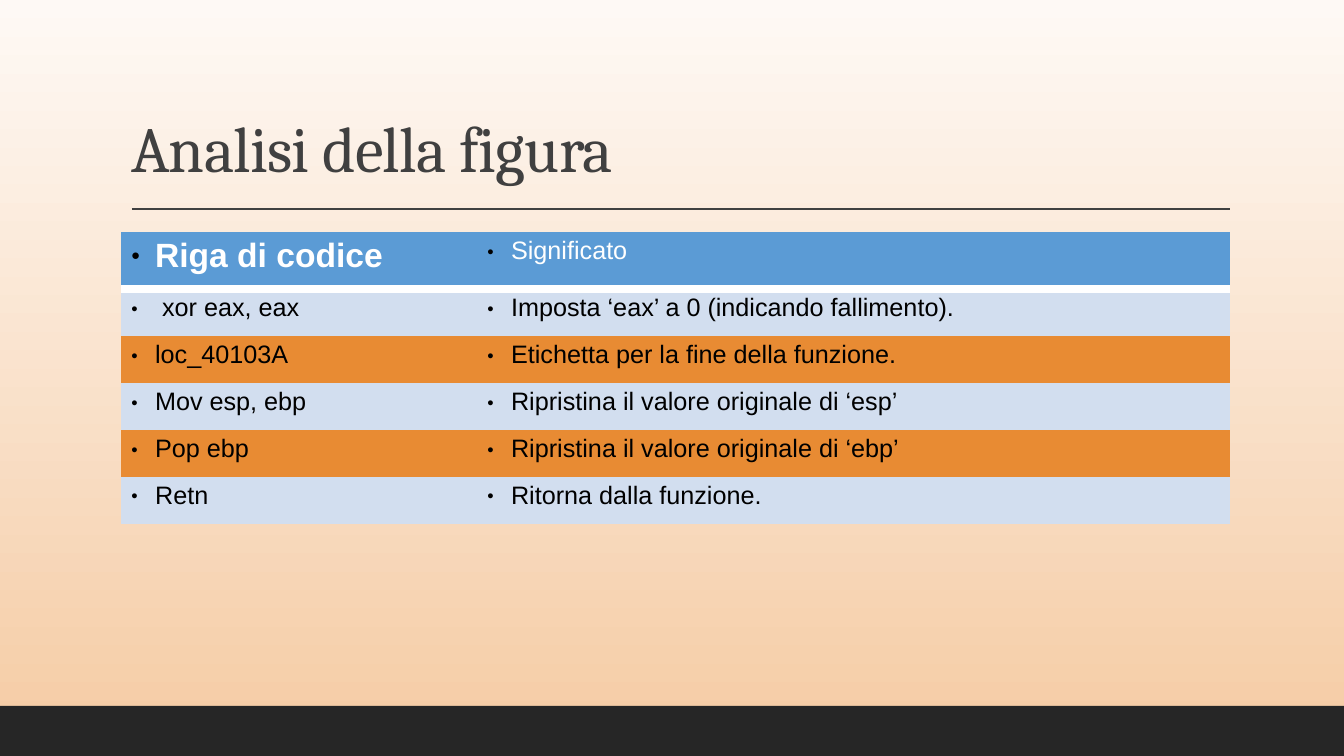
from lxml.etree import SubElement, fromstring
from pptx import Presentation
from pptx.dml.color import RGBColor
from pptx.enum.shapes import MSO_CONNECTOR as Connector, MSO_SHAPE as Shape
from pptx.enum.text import MSO_ANCHOR as Anchor, PP_ALIGN as Align
from pptx.oxml.ns import nsdecls, qn
from pptx.util import Pt

SCALE = 12192000 / 1344
SLIDE_WIDTH, SLIDE_HEIGHT = 1344, 756
PLAIN_TABLE = "{2D5ABB26-0587-4C30-8999-92F81FD0307C}"
HEADER_FILL, ROW_FILLS = "5B9BD5", ("D2DEEF", "E88B33")
INSTRUCTIONS = [
    ("Riga di codice", "Significato"),
    (" xor eax, eax", "Imposta ‘eax’ a 0 (indicando fallimento)."),
    ("loc_40103A", "Etichetta per la fine della funzione."),
    ("Mov esp, ebp", "Ripristina il valore originale di ‘esp’"),
    ("Pop ebp", "Ripristina il valore originale di ‘ebp’"),
    ("Retn", "Ritorna dalla funzione."),
]


def px(length):
    return round(length * SCALE)


def color(value):
    return RGBColor.from_string(value)


def style(paragraph, font_name, size, text_color, bold=False):
    font = paragraph.font
    font.name, font.size, font.bold = font_name, Pt(size), bold
    font.color.rgb = color(text_color)


def add_bullet(paragraph):
    properties = paragraph._p.get_or_add_pPr()
    properties.set("marL", str(px(24)))
    properties.set("indent", str(-px(24)))
    bullet = fromstring(
        f'<a:pPr {nsdecls("a")}><a:buClr><a:srgbClr val="000000"/></a:buClr>'
        '<a:buSzPct val="45000"/><a:buFont typeface="Arial"/>'
        '<a:buChar char="●"/></a:pPr>')
    for position, part in enumerate(list(bullet)):
        properties.insert(position, part)


def add_bottom_border(cell):
    border = fromstring(
        f'<a:lnB {nsdecls("a")} w="{Pt(6)}"><a:solidFill>'
        '<a:srgbClr val="FFFFFF"/></a:solidFill></a:lnB>')
    cell._tc.get_or_add_tcPr().insert(0, border)


def draw_backdrop(slide, left, top, width, height):
    fill = slide.background.fill
    fill.gradient()
    fill.gradient_angle = 270
    for stop, value in zip(fill.gradient_stops, ("FEF9F5", "F5CBA3")):
        stop.color.rgb = color(value)
    footer_height = 50
    footer = slide.shapes.add_shape(
        Shape.RECTANGLE, px(left), px(top + height - footer_height),
        px(width), px(footer_height))
    footer.shadow.inherit = False
    footer.fill.solid()
    footer.fill.fore_color.rgb = color("262626")
    footer.line.fill.background()


def draw_heading(slide, left, top, width, height):
    heading = slide.shapes.title
    heading.left, heading.top = px(left), px(top)
    heading.width, heading.height = px(width), px(height)
    frame = heading.text_frame
    frame.text = "Analisi della figura"
    frame.vertical_anchor = Anchor.BOTTOM
    paragraph = frame.paragraphs[0]
    paragraph.alignment = Align.LEFT
    paragraph.line_spacing = 0.9
    style(paragraph, "Cambria", 46, "404040")
    paragraph._p.pPr.find(qn("a:defRPr")).set("spc", "-50")
    rule_y = px(top + height + 18)
    rule = slide.shapes.add_connector(
        Connector.STRAIGHT, px(left + 11), rule_y, px(left + width), rule_y)
    rule.line.color.rgb = color("404040")
    rule.line.width = Pt(1)
    SubElement(rule._element.spPr, qn("a:effectLst"))


def draw_instructions(slide, left, top, width, height):
    row_height, code_width = 47, 356
    header_height = height - row_height * (len(INSTRUCTIONS) - 1)
    frame = slide.shapes.add_table(
        len(INSTRUCTIONS), 2, px(left), px(top), px(width), px(height))
    table = frame.table
    table._tbl.tblPr.find(qn("a:tableStyleId")).text = PLAIN_TABLE
    table.columns[0].width = px(code_width)
    table.columns[1].width = px(width - code_width)
    for row, texts in enumerate(INSTRUCTIONS):
        header = row == 0
        table.rows[row].height = px(header_height if header else row_height)
        for column, text in enumerate(texts):
            cell = table.cell(row, column)
            cell.text = text
            cell.fill.solid()
            cell.fill.fore_color.rgb = color(
                HEADER_FILL if header else ROW_FILLS[(row - 1) % 2])
            paragraph = cell.text_frame.paragraphs[0]
            main = header and column == 0
            style(paragraph, "Arial", 24 if main else 18,
                  "FFFFFF" if header else "000000", main)
            add_bullet(paragraph)
            if header:
                add_bottom_border(cell)


def main():
    deck = Presentation()
    deck.slide_width, deck.slide_height = px(SLIDE_WIDTH), px(SLIDE_HEIGHT)
    slide = deck.slides.add_slide(deck.slide_layouts[5])
    draw_backdrop(slide, 0, 0, SLIDE_WIDTH, SLIDE_HEIGHT)
    draw_heading(slide, 121, 31, 1109, 160)
    draw_instructions(slide, 121, 232, 1109, 292)
    deck.save("out.pptx")


if __name__ == "__main__":
    main()
